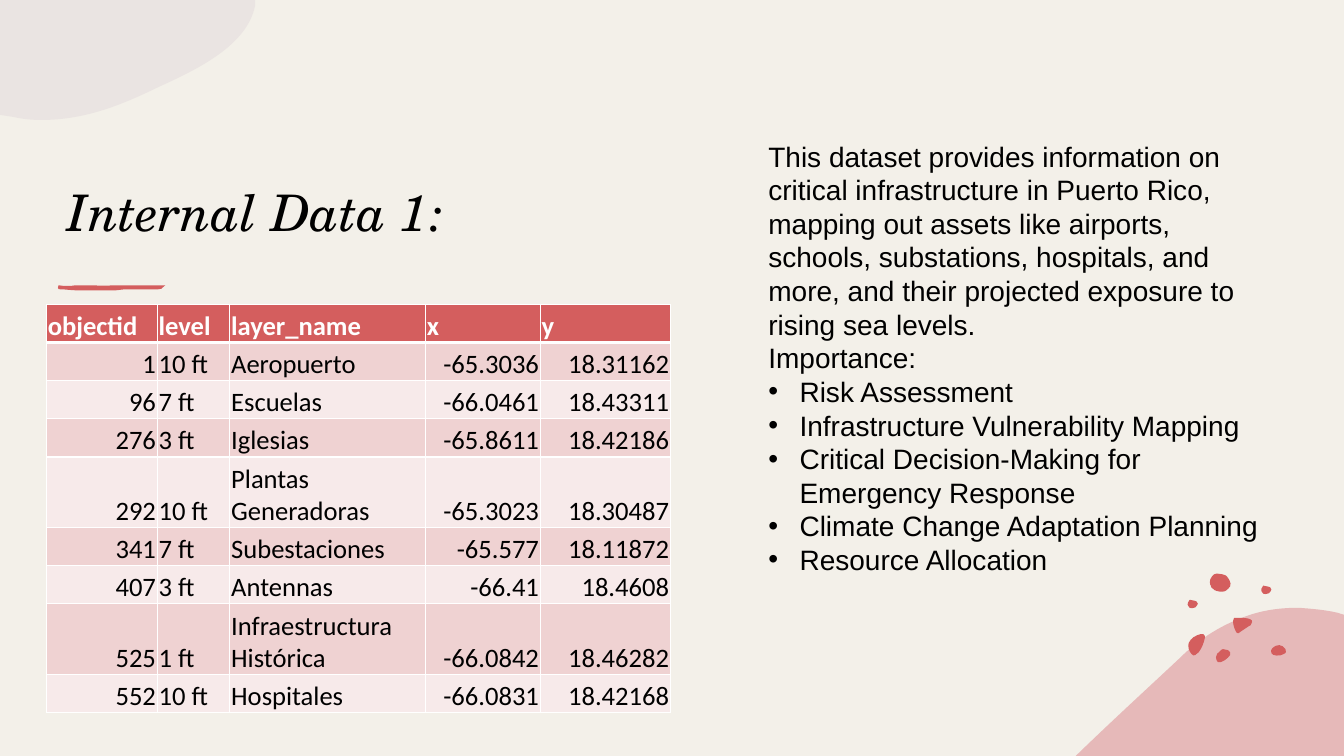
from dataclasses import dataclass

from lxml import etree
from pptx import Presentation
from pptx.dml.color import RGBColor
from pptx.enum.shapes import MSO_SHAPE
from pptx.enum.text import MSO_ANCHOR, MSO_AUTO_SIZE, PP_ALIGN
from pptx.oxml.ns import qn
from pptx.util import Inches, Pt

LEFT, RIGHT = PP_ALIGN.LEFT, PP_ALIGN.RIGHT
TOP, BOTTOM = MSO_ANCHOR.TOP, MSO_ANCHOR.BOTTOM
NO_AUTOFIT = MSO_AUTO_SIZE.NONE
RECTANGLE = MSO_SHAPE.RECTANGLE


@dataclass(frozen=True)
class Theme:
    background: str = "F3F0E9"
    accent: str = "D45E5E"
    hill: str = "E6B9B9"
    cloud: str = "D2C4D0"
    band_dark: str = "EFD2D2"
    band_light: str = "F7EAEA"
    ink: str = "000000"
    white: str = "FFFFFF"
    title_font: str = "TeX Gyre Schola"
    body_font: str = "Arial"
    table_font: str = "Calibri"
    title_size: int = 36
    body_size: int = 20
    table_size: int = 19


THEME = Theme()

# Outlines in inches: a start point, then lines (x, y) or Bezier curves (6 values)
CLOUD = [(0, 0), (2.53, 0), (2.53, 0.06), (2.45, 0.44, 2, 0.67, 1.58, 0.86),
         (1.23, 1.03, 0.86, 1.19, 0.41, 1.19), (0.31, 1.19, 0.22, 1.18, 0.13, 1.16),
         (0, 1.14)]
HILL = [(12.88, 6.03), (13.01, 6.04, 13.14, 6.05, 13.27, 6.08), (13.33, 6.1),
        (13.33, 7.5), (10.67, 7.5), (10.68, 7.49),
        (11.02, 7.16, 11.37, 6.84, 11.69, 6.54), (11.91, 6.32, 12.14, 6.19, 12.37, 6.11),
        (12.54, 6.05, 12.71, 6.03, 12.88, 6.03)]
UNDERLINE = [(0.85, 2.88), (1.06, 2.88), (1.15, 2.88), (1.24, 2.87), (1.57, 2.87),
             (1.63, 2.87, 1.6, 2.84, 1.64, 2.83), (1.33, 2.83), (1.11, 2.83),
             (1.06, 2.84, 0.94, 2.83, 0.88, 2.83), (0.75, 2.83),
             (0.7, 2.84, 0.64, 2.84, 0.58, 2.83), (0.57, 2.84, 0.57, 2.88, 0.6, 2.87),
             (0.64, 2.87, 0.71, 2.88, 0.75, 2.88)]
SPOTS = [
    [(12.13, 6.44), (12.15, 6.44, 12.16, 6.44, 12.18, 6.45),
     (12.2, 6.46, 12.21, 6.48, 12.2, 6.5), (12.18, 6.53, 12.12, 6.58, 12.08, 6.57),
     (12.07, 6.56, 12.06, 6.54, 12.06, 6.52), (12.06, 6.5, 12.08, 6.47, 12.1, 6.46),
     (12.11, 6.45, 12.12, 6.44, 12.13, 6.44)],
    [(11.91, 6.29), (11.93, 6.29, 11.95, 6.29, 11.95, 6.31),
     (11.95, 6.32, 11.95, 6.32, 11.95, 6.33),
     (11.94, 6.38, 11.92, 6.43, 11.89, 6.47), (11.87, 6.49, 11.84, 6.52, 11.82, 6.49),
     (11.79, 6.46, 11.78, 6.41, 11.79, 6.38), (11.8, 6.35, 11.82, 6.34, 11.84, 6.32),
     (11.85, 6.32, 11.88, 6.29, 11.91, 6.29)],
    [(12.69, 6.4), (12.71, 6.4, 12.74, 6.42, 12.75, 6.44),
     (12.76, 6.46, 12.76, 6.48, 12.73, 6.49), (12.7, 6.51, 12.62, 6.51, 12.61, 6.48),
     (12.6, 6.46, 12.61, 6.44, 12.62, 6.43), (12.64, 6.41, 12.66, 6.4, 12.69, 6.4)],
    [(12.01, 5.81), (12, 5.81, 11.99, 5.75, 12.02, 5.72),
     (12.04, 5.7, 12.04, 5.69, 12.07, 5.69), (12.1, 5.69, 12.14, 5.7, 12.16, 5.71),
     (12.18, 5.73, 12.22, 5.78, 12.2, 5.82), (12.17, 5.85, 12.16, 5.87, 12.12, 5.87),
     (12.09, 5.87, 12.04, 5.86, 12.03, 5.84), (12.01, 5.83, 12.01, 5.82, 12.01, 5.81)],
    [(12.28, 6.13), (12.34, 6.13, 12.45, 6.13, 12.41, 6.19),
     (12.41, 6.2, 12.4, 6.21, 12.39, 6.21), (12.36, 6.23, 12.33, 6.25, 12.3, 6.27),
     (12.29, 6.28, 12.28, 6.29, 12.27, 6.28), (12.27, 6.28, 12.26, 6.27, 12.26, 6.27),
     (12.24, 6.23, 12.23, 6.2, 12.23, 6.16), (12.23, 6.15, 12.23, 6.14, 12.24, 6.13)],
]
SMALL_SPOT = [(12.51, 5.86), (12.51, 5.86, 12.51, 5.82, 12.53, 5.81),
              (12.55, 5.81, 12.56, 5.81, 12.58, 5.82),
              (12.59, 5.82, 12.61, 5.83, 12.61, 5.85),
              (12.61, 5.86, 12.6, 5.87, 12.59, 5.88),
              (12.59, 5.88, 12.59, 5.89, 12.57, 5.89),
              (12.56, 5.89, 12.54, 5.9, 12.53, 5.89),
              (12.52, 5.87, 12.51, 5.87, 12.51, 5.86)]
SMALL_SPOT_OFFSETS = [(0, 0), (-0.73, 0.14)]

INTRO = ["This dataset provides information on critical infrastructure in Puerto Rico, "
         "mapping out assets like airports, schools, substations, hospitals, and more, "
         "and their projected exposure to rising sea levels.",
         "Importance:"]
USES = ["Risk Assessment", "Infrastructure Vulnerability Mapping",
        "Critical Decision-Making for Emergency Response",
        "Climate Change Adaptation Planning", "Resource Allocation"]

COLUMN_WIDTHS = [1.1, 0.72, 1.94, 1.14, 1.29]
NUMBER_COLUMNS = {0, 3, 4}
TABLE_HEIGHT, TALL_ROW_HEIGHT = 4.05, 0.7
TALL_ROWS = {4, 7}
ASSETS = [
    ("objectid", "level", "layer_name", "x", "y"),
    ("1", "10 ft", "Aeropuerto", "-65.3036", "18.31162"),
    ("96", "7 ft", "Escuelas", "-66.0461", "18.43311"),
    ("276", "3 ft", "Iglesias", "-65.8611", "18.42186"),
    ("292", "10 ft", "Plantas Generadoras", "-65.3023", "18.30487"),
    ("341", "7 ft", "Subestaciones", "-65.577", "18.11872"),
    ("407", "3 ft", "Antennas", "-66.41", "18.4608"),
    ("525", "1 ft", "Infraestructura Histórica", "-66.0842", "18.46282"),
    ("552", "10 ft", "Hospitales", "-66.0831", "18.42168"),
]
ROW_HEIGHT = ((TABLE_HEIGHT - len(TALL_ROWS) * TALL_ROW_HEIGHT)
              / (len(ASSETS) - len(TALL_ROWS)))


def paint(sp, color):
    sp.shadow.inherit = False
    sp.fill.solid()
    sp.fill.fore_color.rgb = RGBColor.from_string(color)
    sp.line.fill.background()


def add_blob(shapes, outline, color, alpha=None, offset=(0, 0)):
    dx, dy = offset
    points = [(Inches(seg[i] + dx), Inches(seg[i + 1] + dy))
              for seg in outline for i in range(0, len(seg), 2)]
    builder = shapes.build_freeform(*points[0])
    builder.add_line_segments(points[1:], close=True)
    sp = builder.convert_to_shape()
    # Turn each run of three control points into one curve
    lines = iter(list(sp._element.iter(qn("a:lnTo"))))
    for segment in outline[1:]:
        first = next(lines)
        if len(segment) == 6:
            curve = etree.Element(qn("a:cubicBezTo"))
            first.addprevious(curve)
            for line in (first, next(lines), next(lines)):
                curve.append(line[0])
                line.getparent().remove(line)
    paint(sp, color)
    if alpha is not None:
        clr = sp._element.spPr.find(f"{qn('a:solidFill')}/{qn('a:srgbClr')}")
        etree.SubElement(clr, qn("a:alpha"), val=str(alpha * 1000))


def add_run(p, text, font, size, color=THEME.ink, bold=False, italic=False):
    r = p.add_run()
    r.text = text
    r.font.name, r.font.size = font, Pt(size)
    r.font.bold, r.font.italic = bold, italic
    r.font.color.rgb = RGBColor.from_string(color)


def place(sp, left, top, width, height, anchor):
    sp.left, sp.top, sp.width, sp.height = map(Inches, (left, top, width, height))
    tf = sp.text_frame
    tf.word_wrap, tf.auto_size, tf.vertical_anchor = True, NO_AUTOFIT, anchor
    return tf


def set_bullet(p, bulleted):
    indent = Inches(0.31) if bulleted else 0
    pPr = p._p.get_or_add_pPr()
    pPr.set("marL", str(indent))
    pPr.set("indent", str(-indent))
    if bulleted:
        etree.SubElement(pPr, qn("a:buChar"), char="•")
    else:
        etree.SubElement(pPr, qn("a:buNone"))


def add_body(tf):
    for i, text in enumerate(INTRO + USES):
        p = tf.paragraphs[0] if i == 0 else tf.add_paragraph()
        set_bullet(p, i >= len(INTRO))
        p.alignment, p.space_before, p.line_spacing = LEFT, Pt(0), 1.0
        add_run(p, text, THEME.body_font, THEME.body_size)


def set_borders(cell, row):
    widths = {"L": 1, "R": 1, "T": 3 if row == 1 else 1, "B": 3 if row == 0 else 1}
    for side, width in widths.items():
        ln = etree.SubElement(cell._tc.get_or_add_tcPr(), qn(f"a:ln{side}"), w=str(Pt(width)))
        fill = etree.SubElement(ln, qn("a:solidFill"))
        etree.SubElement(fill, qn("a:srgbClr"), val=THEME.white)


def fill_cell(cell, row, col, text):
    header = row == 0
    band = THEME.band_dark if row % 2 else THEME.band_light
    set_borders(cell, row)
    cell.fill.solid()
    cell.fill.fore_color.rgb = RGBColor.from_string(THEME.accent if header else band)
    cell.vertical_anchor = BOTTOM
    cell.margin_left = cell.margin_right = cell.margin_top = Pt(1)
    cell.margin_bottom = 0
    p = cell.text_frame.paragraphs[0]
    p.alignment = RIGHT if col in NUMBER_COLUMNS and not header else LEFT
    add_run(p, text, THEME.table_font, THEME.table_size,
            THEME.white if header else THEME.ink, bold=header)


def add_asset_table(s):
    table = s.shapes.add_table(len(ASSETS), len(COLUMN_WIDTHS), Inches(0.46), Inches(3.02),
                               Inches(6.19), Inches(TABLE_HEIGHT)).table
    for column, width in zip(table.columns, COLUMN_WIDTHS):
        column.width = Inches(width)
    for i, values in enumerate(ASSETS):
        table.rows[i].height = Inches(TALL_ROW_HEIGHT if i in TALL_ROWS else ROW_HEIGHT)
        for j, text in enumerate(values):
            fill_cell(table.cell(i, j), i, j, text)


def main():
    prs = Presentation()
    prs.slide_width, prs.slide_height = Inches(13.33), Inches(7.5)
    s = prs.slides.add_slide(prs.slide_layouts[1])
    # Backdrop, behind the placeholders
    backdrop = s.shapes.add_shape(RECTANGLE, 0, 0, prs.slide_width, prs.slide_height)
    paint(backdrop, THEME.background)
    s.shapes.title._element.addprevious(backdrop._element)
    # Title and description
    p = place(s.shapes.title, 0.57, 0.86, 5.1, 1.59, BOTTOM).paragraphs[0]
    p.alignment = LEFT
    add_run(p, "Internal Data 1:", THEME.title_font, THEME.title_size, italic=True)
    add_body(place(s.placeholders[1], 7.52, 1.33, 5.1, 4.71, TOP))
    # Decoration
    add_blob(s.shapes, CLOUD, THEME.cloud, alpha=25)
    add_blob(s.shapes, UNDERLINE, THEME.accent)
    add_blob(s.shapes, HILL, THEME.hill)
    spots = s.shapes.add_group_shape().shapes
    for outline in SPOTS:
        add_blob(spots, outline, THEME.accent)
    for offset in SMALL_SPOT_OFFSETS:
        add_blob(spots, SMALL_SPOT, THEME.accent, offset=offset)
    # Sample of the dataset
    add_asset_table(s)
    prs.save("out.pptx")


if __name__ == "__main__":
    main()
